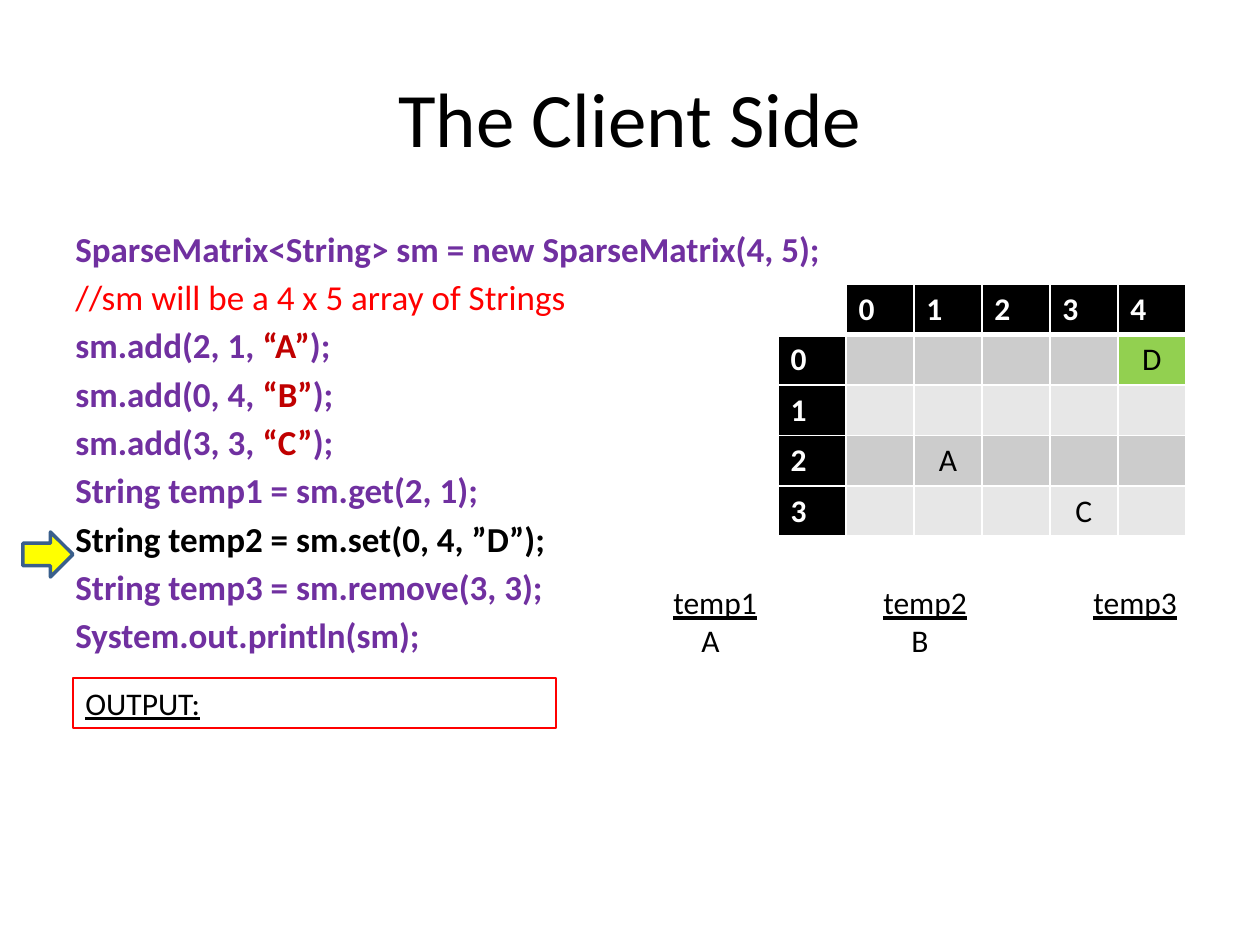
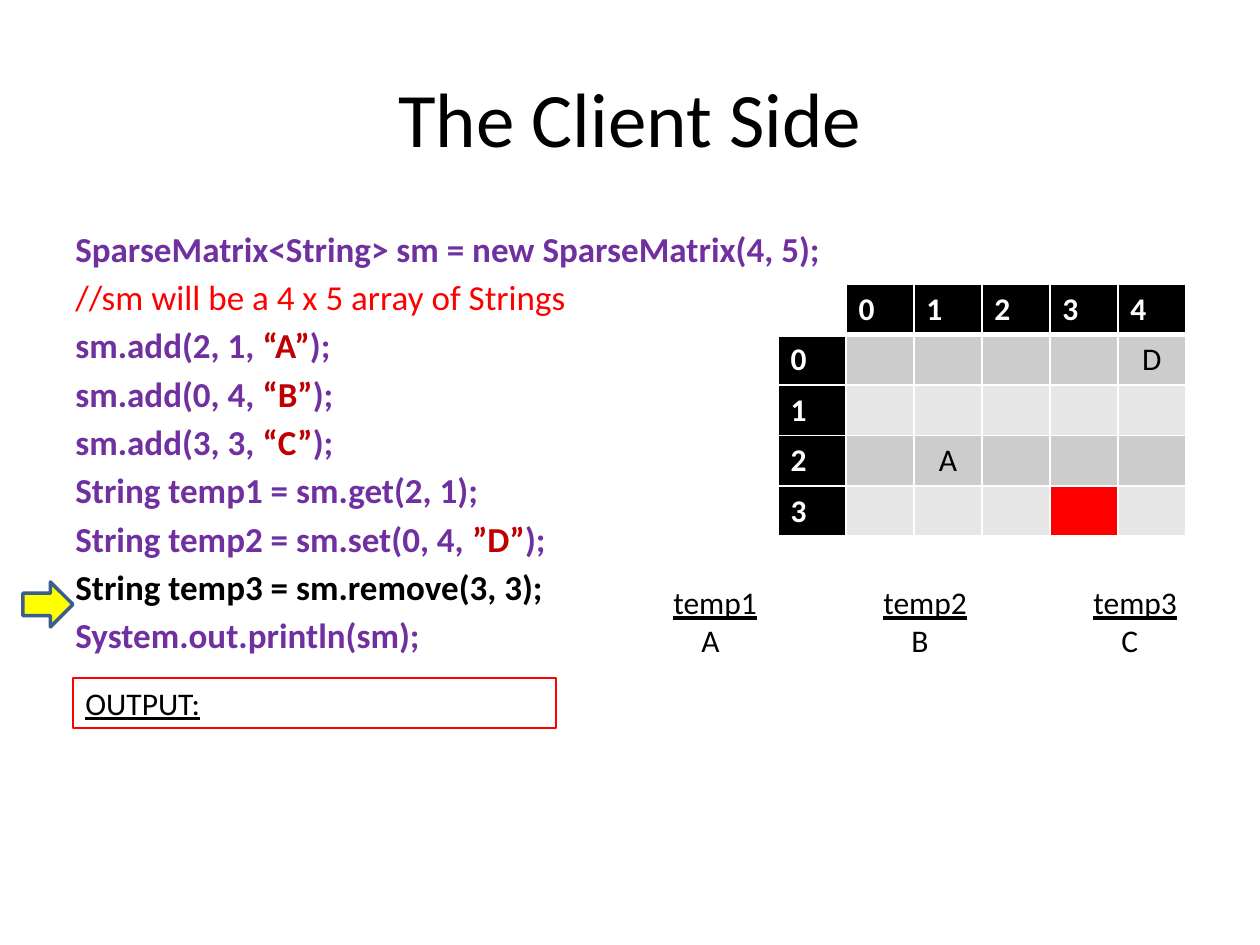
import pptx
import pptx.util
import pptx.dml.color
import pptx.enum.shapes
import pptx.enum.text
import pptx.oxml
import pptx.oxml.ns

FONT = "Calibri"
HEX = {
    "black": "000000", "white": "FFFFFF", "code": "7030A0", "quote": "C00000",
    "red": "FF0000", "green": "92D050", "yellow": "FFFF00", "edge": "3A5F8C",
    "dark": "CCCCCC", "light": "E7E7E7",
}
# Bars set off the string literals
CODE = [
    "SparseMatrix<String> sm = new SparseMatrix(4, 5);",
    "//sm will be a 4 x 5 array of Strings",
    "sm.add(2, 1, |“A”|);",
    "sm.add(0, 4, |“B”|);",
    "sm.add(3, 3, |“C”|);",
    "String temp1 = sm.get(2, 1);",
    "String temp2 = sm.set(0, 4, |”D”|);",
    "String temp3 = sm.remove(3, 3);",
    "System.out.println(sm);",
]
# One entry per slide: active line, cell values, marked cell, temp values
STEPS = [
    {"line": 6, "cells": {(0, 4): "D", (2, 1): "A", (3, 3): "C"},
     "mark": ((0, 4), "green"), "temps": "AB"},
    {"line": 7, "cells": {(0, 4): "D", (2, 1): "A"},
     "mark": ((3, 3), "red"), "temps": "ABC"},
]
ROWS, COLS = 4, 5
CENTER = pptx.enum.text.PP_ALIGN.CENTER
LEFT = pptx.enum.text.PP_ALIGN.LEFT


def px(n):
    return pptx.util.Emu(round(n * 914400 / 126))


def rgb(name):
    return pptx.dml.color.RGBColor.from_string(HEX[name])


def style(run, size, color="black", bold=False, under=False):
    font = run.font
    font.name, font.size = FONT, pptx.util.Pt(size)
    font.bold, font.underline = bold, under
    font.color.rgb = rgb(color)


def add_run(par, text, *look, **more):
    run = par.add_run()
    run.text = text
    style(run, *look, **more)


def add_box(slide, x, y, w, h):
    frame = slide.shapes.add_textbox(px(x), px(y), px(w), px(h)).text_frame
    frame.word_wrap = True
    return frame


def add_shape(slide, kind, x, y, w, h, line, width, fill=None):
    shape = slide.shapes.add_shape(kind, px(x), px(y), px(w), px(h))
    shape.shadow.inherit = False
    if fill:
        shape.fill.solid()
        shape.fill.fore_color.rgb = rgb(fill)
    else:
        shape.fill.background()
    shape.line.color.rgb = rgb(line)
    shape.line.width = pptx.util.Pt(width)
    return shape


def add_title(slide, text):
    title = slide.shapes.title
    title.left, title.top, title.width, title.height = px(63), px(38), px(1134), px(158)
    frame = title.text_frame
    frame.text = text
    frame.vertical_anchor = pptx.enum.text.MSO_ANCHOR.MIDDLE
    par = frame.paragraphs[0]
    par.alignment = CENTER
    style(par.runs[0], 44)


def add_code(slide, active):
    frame = add_box(slide, 63, 221, 1134, 624)
    for i, line in enumerate(CODE):
        par = frame.paragraphs[0] if i == 0 else frame.add_paragraph()
        par.space_before = pptx.util.Pt(3.6)
        note = line.startswith("//")
        base = "black" if i == active else "red" if note else "code"
        for j, part in enumerate(line.split("|")):
            color = "quote" if j % 2 and i != active else base
            add_run(par, part, 20, color, bold=not note)


def add_edges(cell, base):
    props = cell._tc.get_or_add_tcPr()
    space = pptx.oxml.ns.nsdecls("a")
    for i, (side, width) in enumerate([("L", 1), ("R", 1), ("T", 1), ("B", base)]):
        edge = pptx.oxml.parse_xml(
            f'<a:ln{side} {space} w="{width * 12700}"><a:solidFill>'
            f'<a:srgbClr val="{HEX["white"]}"/></a:solidFill></a:ln{side}>')
        props.insert(i, edge)


def add_grid(slide, cells, mark):
    size = 68
    table = slide.shapes.add_table(ROWS + 1, COLS + 1, px(778), px(284),
                                   px(size * (COLS + 1)), px(50 * (ROWS + 1))).table
    for col in table.columns:
        col.width = px(size)
    for r in range(-1, ROWS):
        for c in range(-1, COLS):
            cell = table.cell(r + 1, c + 1)
            head = r < 0 or c < 0
            if head:
                text = "" if r == c else str(max(r, c))
                fill = "black" if text else "white"
            else:
                text = cells.get((r, c), "")
                fill = "light" if r % 2 else "dark"
            if (r, c) == mark[0]:
                fill = mark[1]
            cell.fill.solid()
            cell.fill.fore_color.rgb = rgb(fill)
            add_edges(cell, 3 if r < 0 else 1)
            cell.text = text
            par = cell.text_frame.paragraphs[0]
            par.alignment = LEFT if head else CENTER
            for run in par.runs:
                style(run, 18, "white" if head else "black", bold=head)


def set_tabs(par, stops):
    space = pptx.oxml.ns.nsdecls("a")
    tabs = "".join(f'<a:tab pos="{px(n)}" algn="l"/>' for n in stops)
    par._p.get_or_add_pPr().append(
        pptx.oxml.parse_xml(f"<a:tabLst {space}>{tabs}</a:tabLst>"))


def add_temps(slide, values):
    frame = add_box(slide, 661, 577, 536, 89)
    names, row = frame.paragraphs[0], frame.add_paragraph()
    gap = 210
    set_tabs(names, [gap, 2 * gap])
    set_tabs(row, [28 + gap * i for i in range(3)])
    for i in range(3):
        if i:
            add_run(names, "\t", 18)
        add_run(names, f"temp{i + 1}", 18, under=True)
    for value in values:
        add_run(row, "\t" + value, 18)


def add_output(slide):
    kind = pptx.enum.shapes.MSO_SHAPE.RECTANGLE
    frame = add_shape(slide, kind, 73, 678, 483, 50, "red", 0.75).text_frame
    frame.text = "OUTPUT:"
    par = frame.paragraphs[0]
    par.alignment = LEFT
    style(par.runs[0], 18, under=True)


def add_arrow(slide, line):
    kind = pptx.enum.shapes.MSO_SHAPE.RIGHT_ARROW
    add_shape(slide, kind, 23, 232 + 50 * line, 50, 45, "edge", 2, "yellow")


def main():
    deck = pptx.Presentation()
    deck.slide_width, deck.slide_height = px(1260), px(945)
    for step in STEPS:
        slide = deck.slides.add_slide(deck.slide_layouts[5])
        add_title(slide, "The Client Side")
        add_code(slide, step["line"])
        add_grid(slide, step["cells"], step["mark"])
        add_temps(slide, step["temps"])
        add_output(slide)
        add_arrow(slide, step["line"])
    deck.save("out.pptx")


if __name__ == "__main__":
    main()
